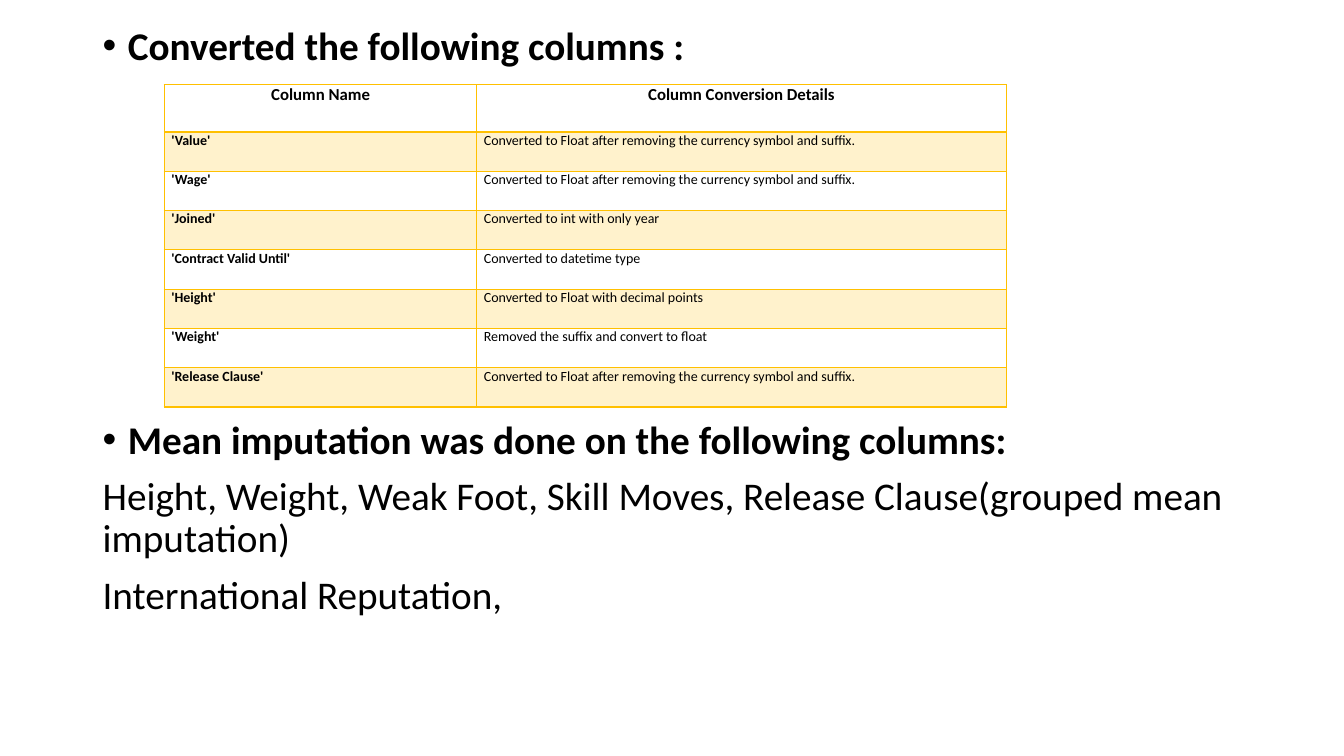
from lxml import etree
from pptx import Presentation
from pptx.dml.color import RGBColor
from pptx.enum.text import PP_ALIGN
from pptx.oxml.ns import qn
from pptx.util import Inches, Pt

LEFT, CENTER = PP_ALIGN.LEFT, PP_ALIGN.CENTER
FONT = "Calibri"
COLORS = {"text": "000000", "border": "FFC000", "band": "FFF2CC"}

HEADER = ("Column Name", "Column Conversion Details")
CURRENCY = "Converted to Float after removing the currency symbol and suffix."
CONVERSIONS = [
    ("'Value'", CURRENCY),
    ("'Wage'", CURRENCY),
    ("'Joined'", "Converted to int with only year"),
    ("'Contract Valid Until'", "Converted to datetime type"),
    ("'Height'", "Converted to Float with decimal points"),
    ("'Weight'", "Removed the suffix and convert to float"),
    ("'Release Clause'", CURRENCY),
]
IMPUTED = [
    "Height, Weight, Weak Foot, Skill Moves, Release Clause(grouped mean imputation)",
    "International Reputation,",
]


def write(p, text, size=28, bold=False, align=LEFT):
    p.alignment = align
    r = p.add_run()
    r.text = text
    r.font.name = FONT
    r.font.size = Pt(size)
    r.font.bold = bold
    r.font.color.rgb = RGBColor.from_string(COLORS["text"])


def add_bullet(p):
    pPr = p._p.get_or_add_pPr()
    pPr.set("marL", str(Inches(0.25)))
    pPr.set("indent", str(-Inches(0.25)))
    etree.SubElement(pPr, qn("a:buFont"), typeface="Arial")
    etree.SubElement(pPr, qn("a:buChar"), char="•")


def set_borders(cell, bottom=1):
    tcPr = cell._tc.get_or_add_tcPr()
    for side, width in (("L", 1), ("R", 1), ("T", 1), ("B", bottom)):
        ln = etree.SubElement(tcPr, qn(f"a:ln{side}"), w=str(Pt(width)))
        fill = etree.SubElement(ln, qn("a:solidFill"))
        etree.SubElement(fill, qn("a:srgbClr"), val=COLORS["border"])


def add_section(slide, left, top, width, height, heading, lines=()):
    """Bulleted heading followed by plain lines."""
    box = slide.shapes.add_textbox(Inches(left), Inches(top), Inches(width), Inches(height))
    tf = box.text_frame
    tf.word_wrap = True
    for i, text in enumerate((heading, *lines)):
        p = tf.add_paragraph() if i else tf.paragraphs[0]
        p.line_spacing = 0.9
        p.space_before = Pt(10 if i else 0)
        write(p, text, bold=i == 0)
        if i == 0:
            add_bullet(p)


def add_conversion_table(slide, left, top, width, height):
    """Header row, then rows banded from the first one."""
    rows = [HEADER, *CONVERSIONS]
    frame = slide.shapes.add_table(len(rows), len(HEADER), Inches(left), Inches(top),
                                   Inches(width), Inches(height))
    table = frame.table
    table.first_row = table.horz_banding = False

    name_width, header_height = 3.1, 0.47
    table.columns[0].width = Inches(name_width)
    table.columns[1].width = Inches(width - name_width)

    for i, values in enumerate(rows):
        is_header = i == 0
        row_height = header_height if is_header else (height - header_height) / len(CONVERSIONS)
        table.rows[i].height = Inches(row_height)
        for j, text in enumerate(values):
            cell = table.cell(i, j)
            cell.margin_left = cell.margin_right = Inches(0.07)
            cell.margin_top = cell.margin_bottom = 0
            write(cell.text_frame.paragraphs[0], text, size=12 if is_header else 10,
                  bold=is_header or j == 0, align=CENTER if is_header else LEFT)
            set_borders(cell, bottom=2 if is_header else 1)
            if i % 2:
                cell.fill.solid()
                cell.fill.fore_color.rgb = RGBColor.from_string(COLORS["band"])
            else:
                cell.fill.background()


def main():
    prs = Presentation()
    prs.slide_width, prs.slide_height = Inches(13.33), Inches(7.5)
    slide = prs.slides.add_slide(prs.slide_layouts[6])

    # Converted columns
    add_section(slide, 0.92, 0.21, 11.5, 0.55, "Converted the following columns :")
    add_conversion_table(slide, 1.63, 0.84, 8.35, 3.2)

    # Imputed columns
    add_section(slide, 0.92, 4.12, 11.5, 2.63,
                "Mean imputation was done on the following columns:", IMPUTED)

    prs.save("out.pptx")


if __name__ == "__main__":
    main()
